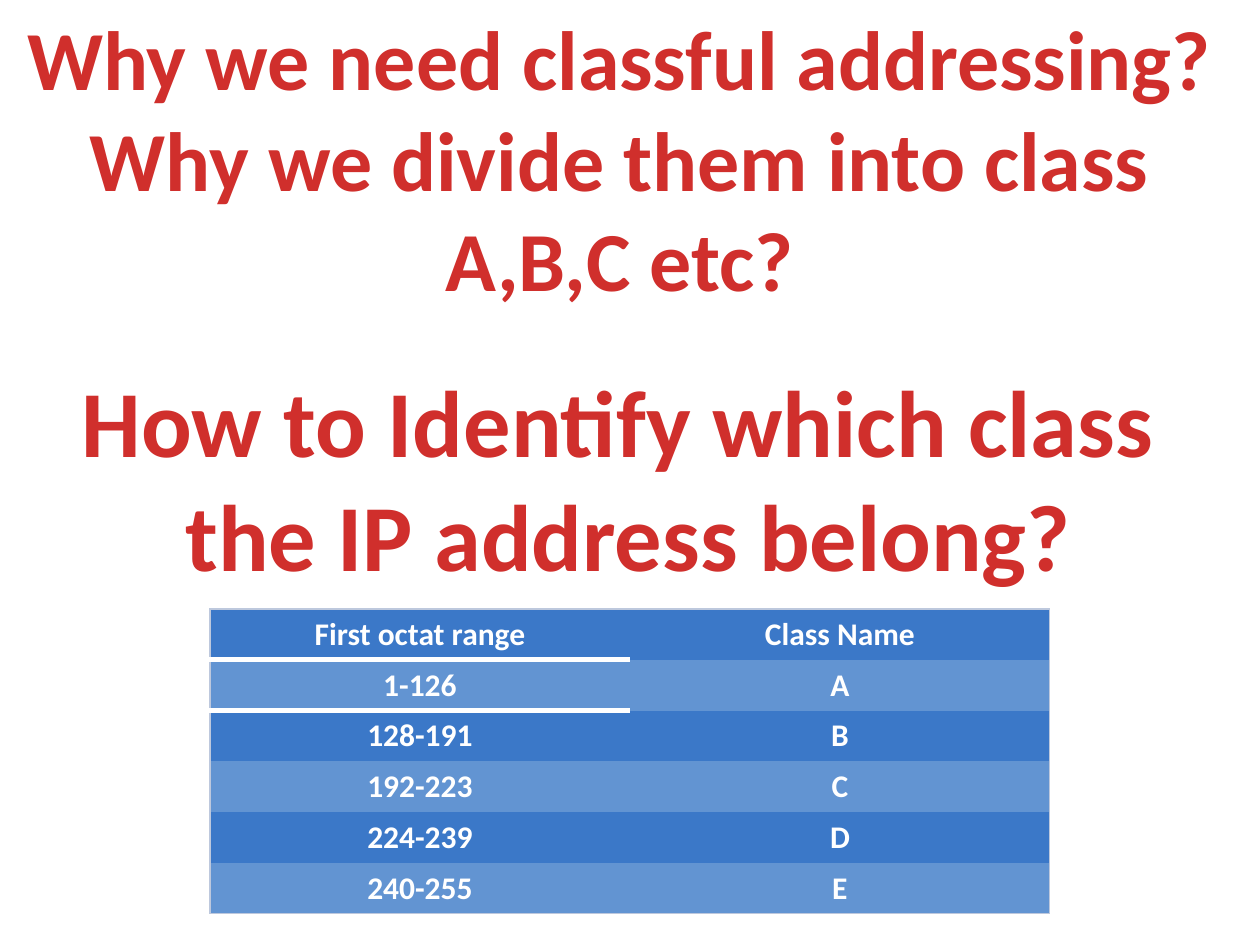
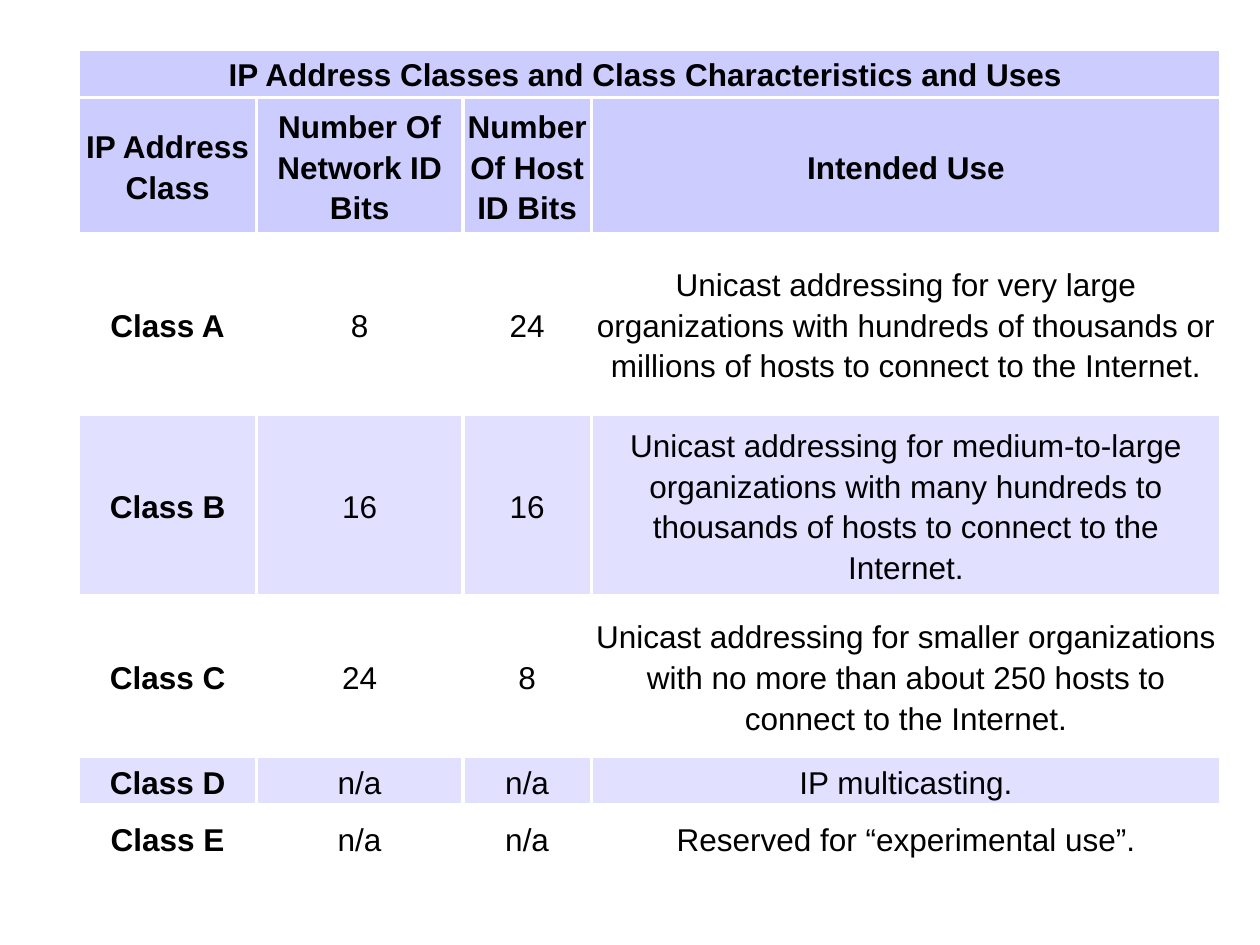
import pptx
import pptx.util
import pptx.dml.color
import pptx.enum.text
import pptx.oxml.ns
import lxml.etree
from dataclasses import dataclass

Pt = pptx.util.Pt
qn = pptx.oxml.ns.qn
MID = pptx.enum.text.MSO_ANCHOR.MIDDLE
TOP = pptx.enum.text.MSO_ANCHOR.TOP


@dataclass(frozen=True)
class Theme:
    red: str = "D02F2C"
    white: str = "FFFFFF"
    black: str = "000000"
    edge: str = "BDC8DD"
    blue: str = "3B78C8"
    sky: str = "6294D2"
    lilac: str = "CCCCFF"
    pale: str = "E1E1FF"
    head: str = "Calibri"
    body: str = "Arial"
    huge: int = 54
    big: int = 48
    cell: int = 18
    plain: str = "{2D5ABB26-0587-4C30-8999-92F81FD0307C}"


T = Theme()

RANGES = [
    ("First octat range", "Class Name"),
    ("1-126", "A"),
    ("128-191", "B"),
    ("192-223", "C"),
    ("224-239", "D"),
    ("240-255", "E"),
]

USES = [
    ("IP Address Classes and Class Characteristics and Uses ", "", "", ""),
    ("IP Address Class", "Number Of Network ID Bits",
     "Number Of Host ID Bits", "Intended Use"),
    ("Class A", "8", "24",
     "Unicast addressing for very large organizations with hundreds of "
     "thousands or millions of hosts to connect to the Internet."),
    ("Class B", "16", "16",
     "Unicast addressing for medium-to-large organizations with many "
     "hundreds to thousands of hosts to connect to the Internet."),
    ("Class C", "24", "8",
     "Unicast addressing for smaller organizations with no more than "
     "about 250 hosts to connect to the Internet."),
    ("Class D", "n/a", "n/a", "IP multicasting."),
    ("Class E", "n/a", "n/a", "Reserved for “experimental use”."),
]


def rgb(code):
    return pptx.dml.color.RGBColor.from_string(code)


# Text: one paragraph per line, always centred
def put(frame, text, size=T.cell, font=T.head, color=T.white, bold=True,
        line=None, after=None):
    for i, part in enumerate(text.split("\n")):
        para = frame.add_paragraph() if i else frame.paragraphs[0]
        para.alignment = pptx.enum.text.PP_ALIGN.CENTER
        if line:
            para.line_spacing = line
        if after is not None:
            para.space_after = Pt(after)
        run = para.add_run()
        run.text = part
        run.font.size = Pt(size)
        run.font.name = font
        run.font.bold = bold
        run.font.color.rgb = rgb(color)


# Large red heading in a title or a text box
def heading(shape, box, text, size):
    shape.left, shape.top, shape.width, shape.height = map(Pt, box)
    frame = shape.text_frame
    frame.word_wrap = True
    frame.auto_size = pptx.enum.text.MSO_AUTO_SIZE.SHAPE_TO_FIT_TEXT
    frame.vertical_anchor = TOP
    put(frame, text, size=size, color=T.red)


# Table without a built-in style
def grid(slide, box, cols, rows):
    frame = slide.shapes.add_table(len(rows), len(cols), *map(Pt, box))
    table = frame.table
    table._tbl.tblPr.find(qn("a:tableStyleId")).text = T.plain
    for col, width in zip(table.columns, cols):
        col.width = Pt(width)
    for row, height in zip(table.rows, rows):
        row.height = Pt(height)
    frame.height = Pt(box[3])
    return table


# Cell borders: sides maps L, R, T, B to (colour, width)
def border(cell, sides):
    props = cell._tc.get_or_add_tcPr()
    for side in "LRTB":
        if side in sides:
            color, width = sides[side]
            line = lxml.etree.SubElement(props, qn("a:ln" + side),
                                         w=str(Pt(width)))
            fill = lxml.etree.SubElement(line, qn("a:solidFill"))
            lxml.etree.SubElement(fill, qn("a:srgbClr"), val=color)


def paint(cell, color):
    if color:
        cell.fill.solid()
        cell.fill.fore_color.rgb = rgb(color)
    else:
        cell.fill.background()


# Blue table of octet ranges
def ranges(slide):
    table = grid(slide, (120, 348, 480, 174), [240] * 2, [29] * len(RANGES))
    thin = (T.edge, 0.75)
    last = len(RANGES) - 1
    for r, row in enumerate(RANGES):
        for c, text in enumerate(row):
            cell = table.cell(r, c)
            sides = {"R" if c else "L": thin}
            if r == 0:
                sides["T"] = thin
            if r == last:
                sides["B"] = thin
            if c == 0 and r < 2:
                sides["T" if r else "B"] = (T.white, 3)
            border(cell, sides)
            paint(cell, T.sky if r % 2 else T.blue)
            put(cell.text_frame, text)


# Lilac table of class uses
def uses(slide):
    table = grid(slide, (45, 28, 652.5, 468), [101.5, 118, 73.5, 359.5],
                 [14.5, 37, 103.5, 103.5, 92, 14.5, 37])
    table.cell(0, 0).merge(table.cell(0, 3))
    for r, row in enumerate(USES):
        shade = T.lilac if r < 2 else T.pale if r % 2 else None
        for c, text in enumerate(row):
            cell = table.cell(r, c)
            cell.vertical_anchor = MID
            cell.margin_left = cell.margin_right = Pt(1.5)
            cell.margin_top = cell.margin_bottom = Pt(1.5)
            border(cell, dict.fromkeys("LRTB", (T.white, 2.25)))
            paint(cell, shade)
            if text:
                put(cell.text_frame, text, font=T.body, color=T.black,
                    bold=r < 2 or c == 0, line=1.15, after=10)


def main():
    deck = pptx.Presentation()
    deck.slide_width, deck.slide_height = Pt(720), Pt(540)

    # Questions and octet ranges
    slide = deck.slides.add_slide(deck.slide_layouts[5])
    heading(slide.shapes.title, (0, 0, 708, 181.5),
            "Why we need classful addressing?\n"
            "Why we divide them into class A,B,C etc?", T.big)
    box = (30, 204, 646, 138)
    heading(slide.shapes.add_textbox(*map(Pt, box)), box,
            "How to Identify which class\n the IP address belong?", T.huge)
    ranges(slide)

    # Class characteristics
    uses(deck.slides.add_slide(deck.slide_layouts[6]))

    deck.save("out.pptx")


main()
